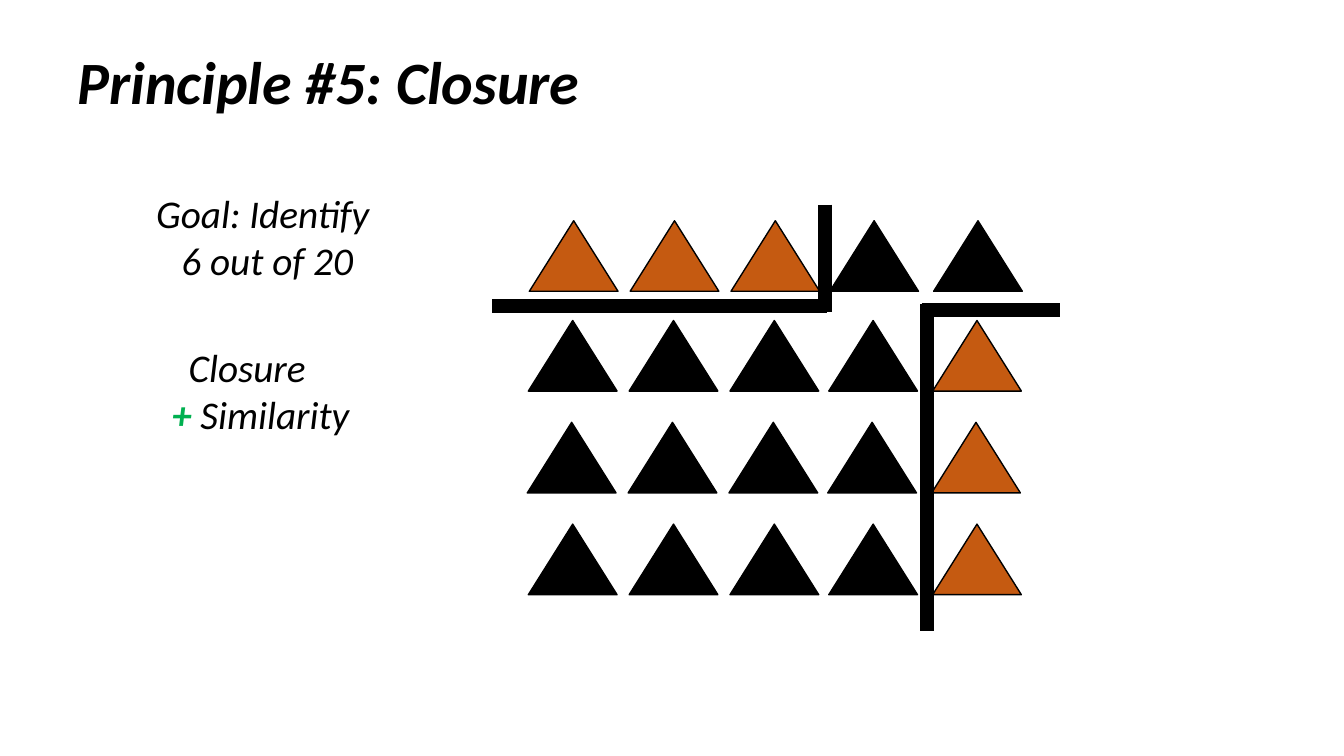
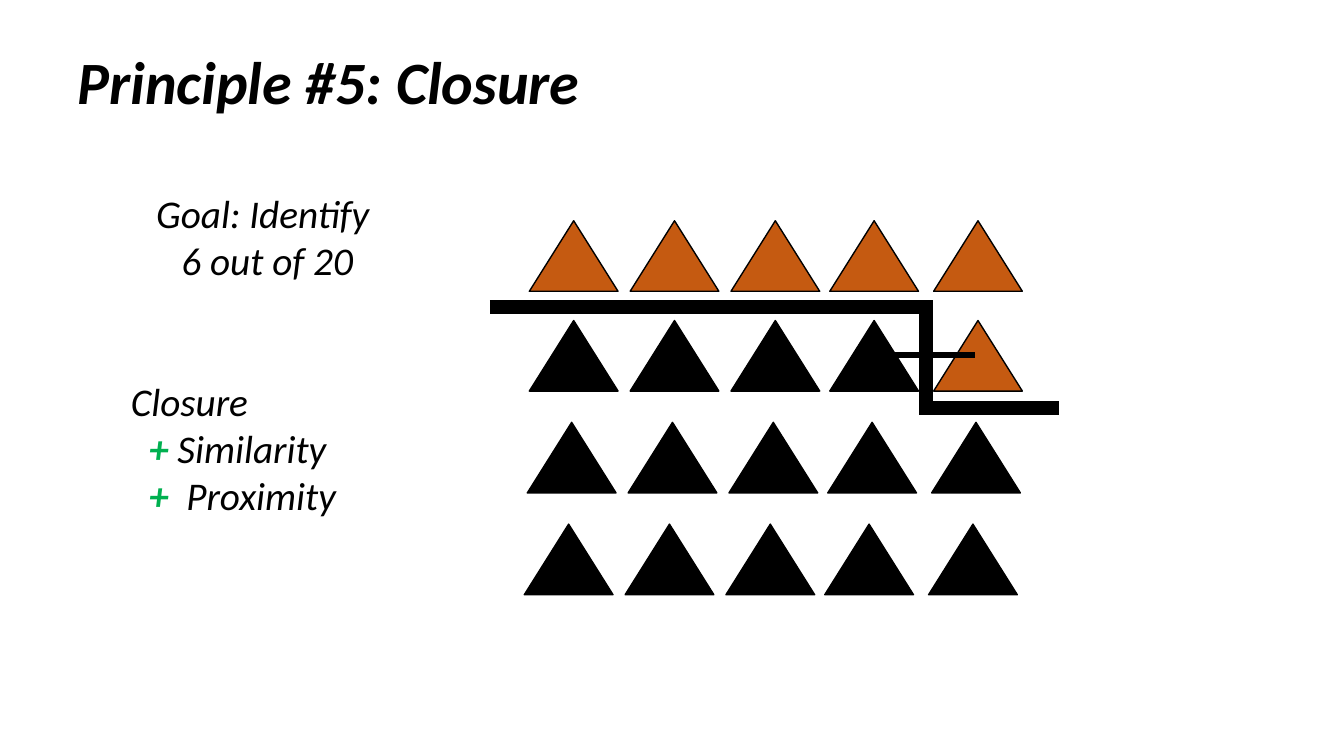
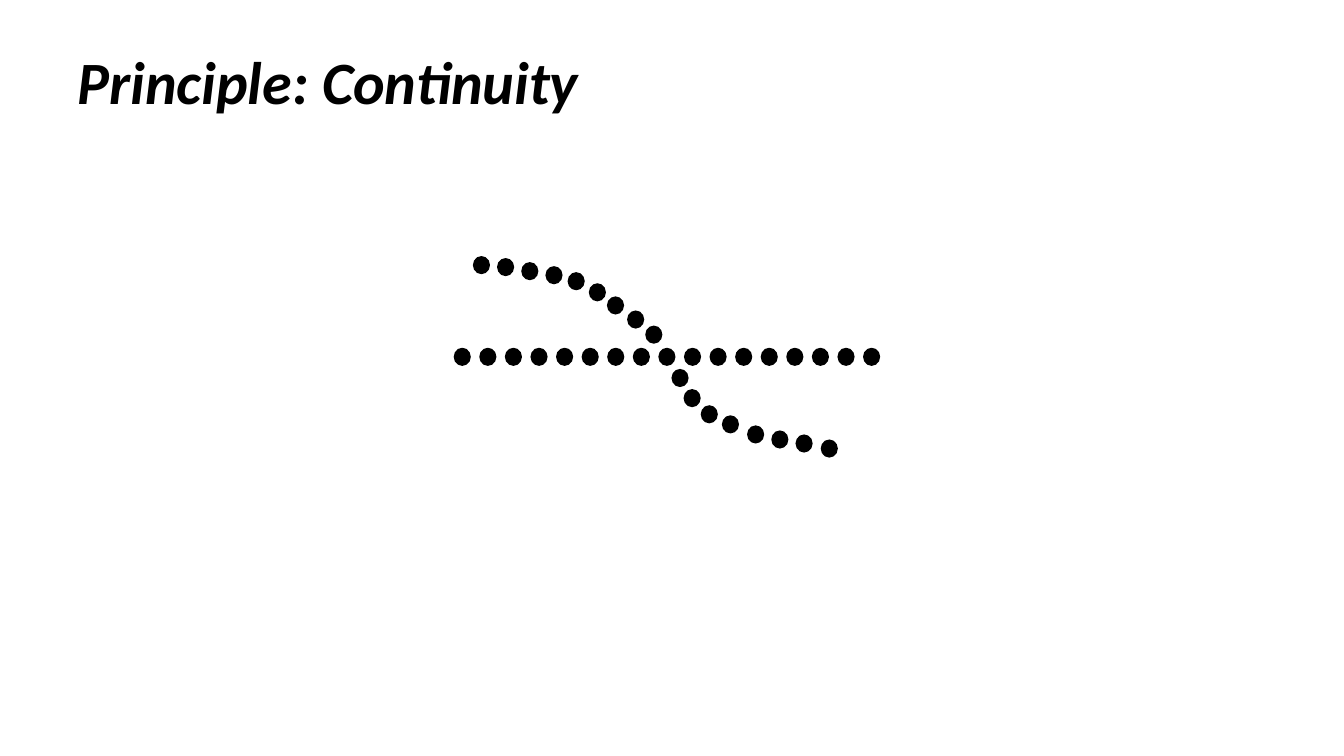
from dataclasses import dataclass

import lxml.etree
import pptx
import pptx.dml.color
import pptx.enum.shapes
import pptx.enum.text
import pptx.oxml.ns
import pptx.util

Inches = pptx.util.Inches
Pt = pptx.util.Pt
SHAPES = pptx.enum.shapes.MSO_SHAPE
ALIGN = pptx.enum.text.PP_ALIGN
ANCHOR = pptx.enum.text.MSO_ANCHOR
RGB = pptx.dml.color.RGBColor.from_string


@dataclass(frozen=True)
class Theme:
    font: str = "Calibri"
    black: str = "000000"
    orange: str = "C55A11"
    green: str = "00B050"
    title_size: float = 42.9
    body_size: float = 28
    outline: float = 1
    bar: float = 10


theme = Theme()


def add_text(slide, box, lines, size, align=ALIGN.LEFT, bold=False):
    """Add italic text; each line is (lead, rest, left indent, first indent), its lead green if a rest follows."""
    frame = slide.shapes.add_textbox(*map(Inches, box)).text_frame
    frame.word_wrap = True
    for index, (lead, rest, left, first) in enumerate(lines):
        paragraph = frame.add_paragraph() if index else frame.paragraphs[0]
        paragraph.alignment = align
        properties = paragraph._p.get_or_add_pPr()
        properties.set("marL", str(Inches(left)))
        properties.set("indent", str(Inches(first)))
        paragraph.text = lead
        if rest:
            paragraph.add_run().text = rest
        for run in paragraph.runs:
            run.font.name = theme.font
            run.font.size = Pt(size)
            run.font.italic = True
            run.font.bold = bold
            run.font.color.rgb = RGB(theme.black)
        if rest:
            paragraph.runs[0].font.bold = True
            paragraph.runs[0].font.color.rgb = RGB(theme.green)
    return frame


def add_figure(shapes, preset, box, color, outlined):
    figure = shapes.add_shape(preset, *map(Inches, box))
    figure.shadow.inherit = False
    figure.fill.solid()
    figure.fill.fore_color.rgb = RGB(color)
    if outlined:
        figure.line.color.rgb = RGB(theme.black)
        figure.line.width = Pt(theme.outline)
    else:
        figure.line.fill.background()


deck = pptx.Presentation()
deck.slide_width, deck.slide_height = Inches(13.33), Inches(7.5)

slides = []
for title in ("Principle #5: Closure", "Principle #5: Closure", "Principle: Continuity"):
    slide = deck.slides.add_slide(deck.slide_layouts[6])
    heading = add_text(slide, (0.67, 0.21, 9.09, 1), [(title, "", 0, 0)],
                       theme.title_size, bold=True)
    heading.vertical_anchor = ANCHOR.BOTTOM
    heading.paragraphs[0].line_spacing = 0.9
    slides.append(slide)

# Closure: a grid of triangles, with bars that close off the six orange ones.
column_lefts = (5.25, 6.25, 7.25, 8.23, 9.26)
row_tops = (2.19, 3.18, 4.19, 5.2)
closure_examples = (
    {
        "rows": ("OOOBB", "BBBBO", "BBBBO", "BBBBO"),  # O is orange, B black
        "shifts": (0, -0.01, -0.02, -0.01),
        "bars": (
            (4.88, 3.04, 8.2, 3.04, theme.bar),
            (9.19, 3.02, 9.19, 6.26, theme.bar),
            (9.14, 3.08, 10.51, 3.08, theme.bar),
            (8.18, 2.03, 8.18, 3.1, theme.bar),
        ),
        "box": (0.84, 3.36, 3.31, 1.04),
        "align": ALIGN.CENTER,
        "lines": [("Closure ", "", 0, 0), ("+", " Similarity", 0.18, 0)],
    },
    {
        "rows": ("OOOOO", "BBBBO", "BBBBB", "BBBBB"),
        "shifts": (0, 0, -0.02, -0.05),
        "bars": (
            (4.86, 3.05, 9.25, 3.05, theme.bar),
            (9.18, 2.99, 9.18, 4.06, theme.bar),
            (9.12, 4.05, 10.5, 4.05, theme.bar),
            (8.73, 3.52, 9.67, 3.52, 4.5),
        ),
        "box": (1.2, 3.69, 3.31, 1.51),
        "align": ALIGN.LEFT,
        "lines": [("Closure ", "", 0, 0), ("+", " Similarity", 0.18, 0),
                  ("+", "\tProximity", 0.55, -0.37)],
    },
)

for slide, example in zip(slides, closure_examples):
    for marks, top, shift in zip(example["rows"], row_tops, example["shifts"]):
        triangle_row = slide.shapes.add_group_shape()
        for mark, left in zip(marks, column_lefts):
            color = theme.orange if mark == "O" else theme.black
            add_figure(triangle_row.shapes, SHAPES.ISOSCELES_TRIANGLE,
                       (left + shift, top, 0.88, 0.7), color, True)
    for *ends, width in example["bars"]:
        bar = slide.shapes.add_connector(pptx.enum.shapes.MSO_CONNECTOR.STRAIGHT,
                                         *map(Inches, ends))
        bar.line.color.rgb = RGB(theme.black)
        bar.line.width = Pt(width)
        lxml.etree.SubElement(bar._element.spPr, pptx.oxml.ns.qn("a:effectLst"))
    add_text(slide, example["box"], example["lines"], theme.body_size, example["align"])
    add_text(slide, (0.57, 1.83, 4.16, 1.04), [("Goal: Identify \v6 out of 20", "", 0, 0)],
             theme.body_size, ALIGN.CENTER)

# Continuity: a straight row of dots crossed by a curve of dots.
straight_dots = [(4.5 + 4.06 * step / 16, 3.45) for step in range(17)]
curve_dots = [
    (4.69, 2.54), (4.93, 2.56), (5.17, 2.6), (5.41, 2.64), (5.63, 2.7), (5.84, 2.81),
    (6.02, 2.94), (6.22, 3.08), (6.4, 3.23), (6.66, 3.66), (6.78, 3.86), (6.95, 4.02),
    (7.16, 4.12), (7.41, 4.22), (7.65, 4.27), (7.89, 4.31), (8.14, 4.36),
]
for left, top in straight_dots + curve_dots:
    add_figure(slides[2].shapes, SHAPES.OVAL, (left, top, 0.17, 0.18), theme.black, False)

deck.save("out.pptx")
